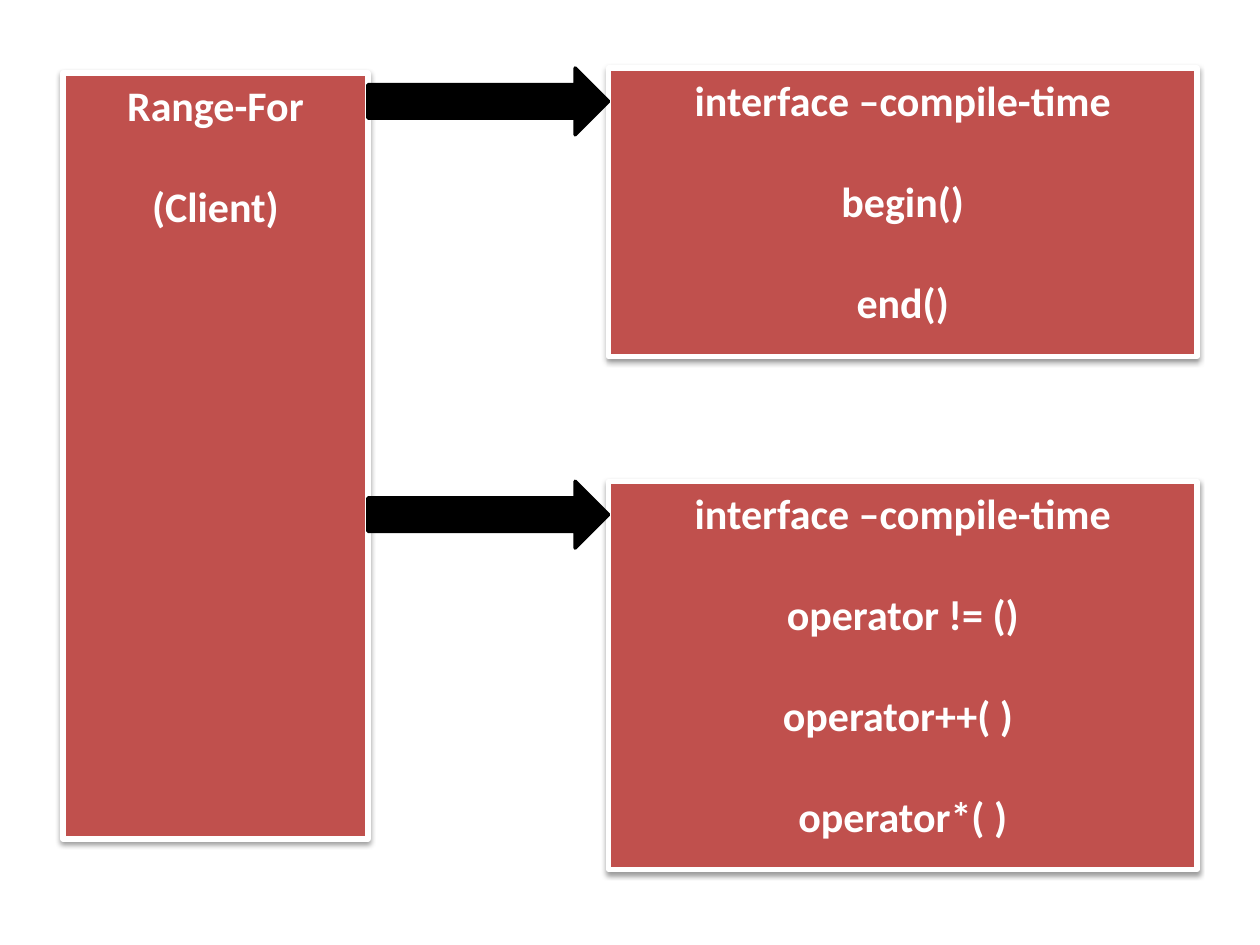
from lxml import etree
from pptx import Presentation
from pptx.dml.color import RGBColor
from pptx.enum.shapes import MSO_SHAPE
from pptx.enum.text import MSO_ANCHOR, PP_ALIGN
from pptx.oxml.ns import qn
from pptx.util import Inches, Pt

RECTANGLE = MSO_SHAPE.RECTANGLE
RIGHT_ARROW = MSO_SHAPE.RIGHT_ARROW
TOP = MSO_ANCHOR.TOP
CENTER = PP_ALIGN.CENTER

RED = RGBColor(0xC0, 0x50, 0x4D)
WHITE = RGBColor(0xFF, 0xFF, 0xFF)
BLACK = RGBColor(0x00, 0x00, 0x00)

FONT = "Calibri"
CLIENT_LEFT, CLIENT_WIDTH = 0.5, 2.42
INTERFACE_LEFT, INTERFACE_WIDTH = 4.83, 4.67
ARROW_LEFT = CLIENT_LEFT + CLIENT_WIDTH
ARROW_WIDTH = INTERFACE_LEFT - ARROW_LEFT
ARROW_HEIGHT = 0.53
HEADING = "interface –compile-time"
INTERFACES = [
    (0.54, 2.29, [HEADING, "begin()", "end()"]),
    (3.82, 3.08, [HEADING, "operator != ()", "operator++( ) ", "operator*( )"]),
]


def add_filled_shape(slide, kind, left, top, width, height, fill, line, line_width):
    shape = slide.shapes.add_shape(
        kind, Inches(left), Inches(top), Inches(width), Inches(height)
    )
    shape.shadow.inherit = False
    shape.fill.solid()
    shape.fill.fore_color.rgb = fill
    shape.line.color.rgb = line
    shape.line.width = Pt(line_width)
    return shape


def add_shadow(shape):
    effects = shape._element.spPr.find(qn("a:effectLst"))
    shadow = etree.SubElement(
        effects, qn("a:outerShdw"), blurRad=str(Pt(3.1)), dist=str(Pt(1.6)),
        dir="5400000", rotWithShape="0",
    )
    color = etree.SubElement(shadow, qn("a:srgbClr"), val=str(BLACK))
    etree.SubElement(color, qn("a:alpha"), val="38000")


def add_box(slide, left, top, width, height, lines):
    box = add_filled_shape(
        slide, RECTANGLE, left, top, width, height, RED, WHITE, 3
    )
    add_shadow(box)
    text_frame = box.text_frame
    text_frame.word_wrap = True
    text_frame.vertical_anchor = TOP
    text_frame.text = "\n".join(lines)
    for index, paragraph in enumerate(text_frame.paragraphs):
        paragraph.alignment = CENTER
        paragraph.space_before = Pt(29 if index else 0)
        font = paragraph.runs[0].font
        font.name = FONT
        font.size = Pt(24)
        font.bold = True
        font.color.rgb = WHITE


def add_arrow(slide, top):
    add_filled_shape(
        slide, RIGHT_ARROW, ARROW_LEFT, top, ARROW_WIDTH, ARROW_HEIGHT,
        BLACK, BLACK, 2,
    )


def main():
    presentation = Presentation()
    presentation.slide_width = Inches(10)
    presentation.slide_height = Inches(7.5)
    slide = presentation.slides.add_slide(presentation.slide_layouts[6])
    add_box(slide, CLIENT_LEFT, 0.58, CLIENT_WIDTH, 6.08, ["Range-For", "(Client)"])
    for top, height, lines in INTERFACES:
        add_box(slide, INTERFACE_LEFT, top, INTERFACE_WIDTH, height, lines)
        add_arrow(slide, top)
    presentation.save("out.pptx")


main()
